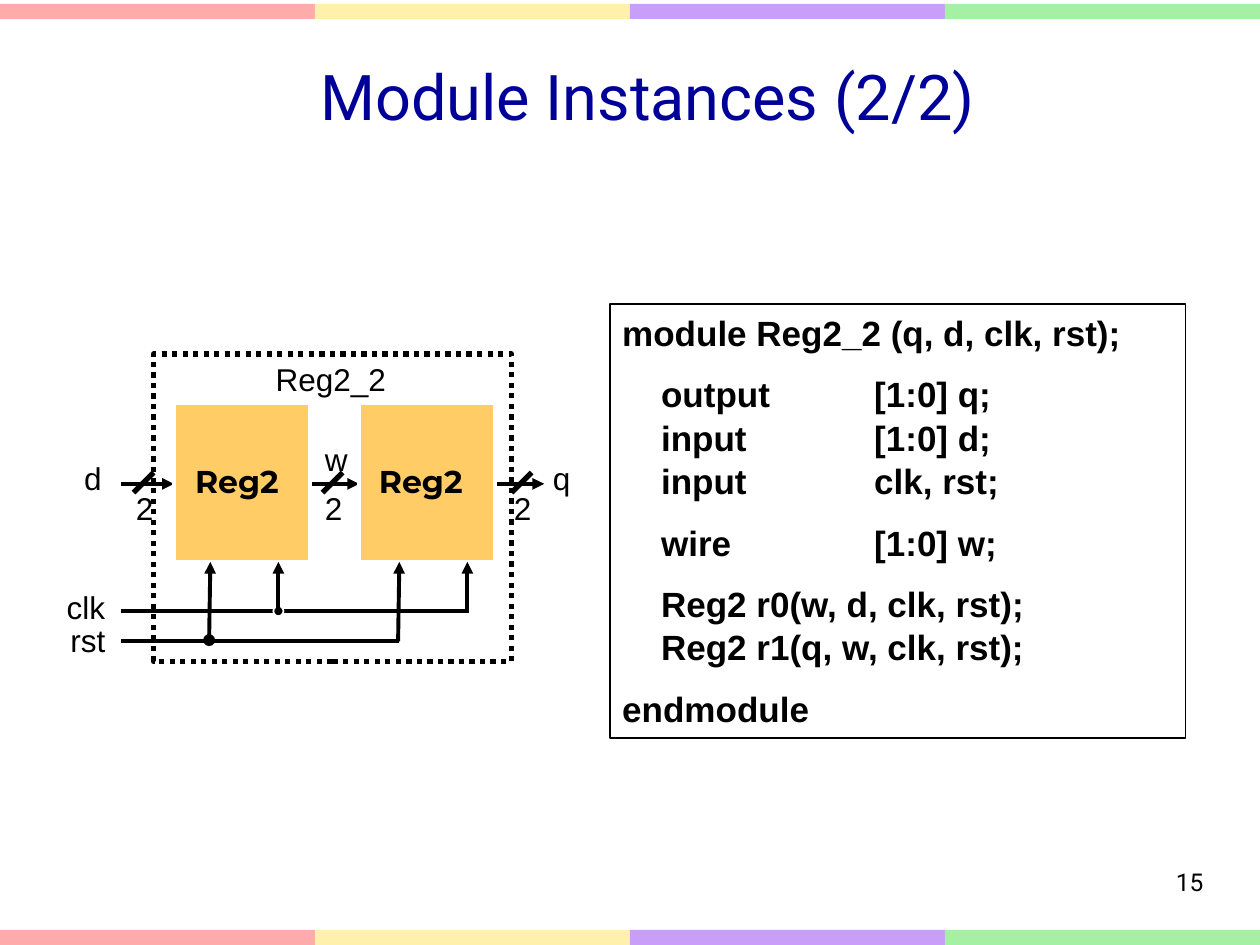
from lxml import etree
from pptx import Presentation
from pptx.dml.color import RGBColor
from pptx.enum.dml import MSO_LINE
from pptx.enum.shapes import MSO_CONNECTOR, MSO_SHAPE
from pptx.enum.text import MSO_ANCHOR, PP_ALIGN
from pptx.oxml.ns import qn
from pptx.util import Pt

RECT, OVAL = MSO_SHAPE.RECTANGLE, MSO_SHAPE.OVAL
STRAIGHT = MSO_CONNECTOR.STRAIGHT
DOTTED = MSO_LINE.ROUND_DOT
LEFT, CENTER, RIGHT = PP_ALIGN.LEFT, PP_ALIGN.CENTER, PP_ALIGN.RIGHT
TOP, MIDDLE = MSO_ANCHOR.TOP, MSO_ANCHOR.MIDDLE

BLACK = RGBColor(0x00, 0x00, 0x00)
WHITE = RGBColor(0xFF, 0xFF, 0xFF)
NAVY = RGBColor(0x00, 0x00, 0x99)
ORANGE = RGBColor(0xFF, 0xCC, 0x66)
BAR_COLORS = [RGBColor(0xFF, 0xAB, 0xAB), RGBColor(0xFF, 0xF1, 0xAB),
              RGBColor(0xC9, 0x9E, 0xF8), RGBColor(0xA6, 0xF0, 0xA6)]

prs = Presentation()
prs.slide_width, prs.slide_height = Pt(720), Pt(540)
s = prs.slides.add_slide(prs.slide_layouts[6])


def add_box(kind, x, y, w, h, fill=None, line=None, width=1):
    sp = s.shapes.add_shape(kind, Pt(x), Pt(y), Pt(w), Pt(h))
    sp.shadow.inherit = False
    if fill is None:
        sp.fill.background()
    else:
        sp.fill.solid()
        sp.fill.fore_color.rgb = fill
    if line is None:
        sp.line.fill.background()
    else:
        sp.line.color.rgb = line
        sp.line.width = Pt(width)
    return sp


def add_wire(x1, y1, x2, y2, width=2.25, arrow=False):
    c = s.shapes.add_connector(STRAIGHT, Pt(x1), Pt(y1), Pt(x2), Pt(y2))
    c.line.color.rgb = BLACK
    c.line.width = Pt(width)
    if arrow:
        etree.SubElement(c.line._get_or_add_ln(), qn("a:tailEnd"), type="triangle")
    etree.SubElement(c._element.spPr, qn("a:effectLst"))


# Colour bars along the top and bottom edges
for y in (2.2, 531.4):
    for i, color in enumerate(BAR_COLORS):
        add_box(RECT, 180 * i, y, 180, 8.6, color)

# Code listing
code = [
    "module Reg2_2 (q, d, clk, rst);",
    "    output\t[1:0] q;\n    input\t[1:0] d;\n    input\tclk, rst;",
    "    wire\t[1:0] w;",
    "    Reg2 r0(w, d, clk, rst);\n    Reg2 r1(q, w, clk, rst);",
    "endmodule",
]
sp = add_box(RECT, 348.5, 173.5, 329, 248.4, line=BLACK)
tf = sp.text_frame
tf.word_wrap = True
tf.vertical_anchor = TOP
for i, text in enumerate(code):
    p = tf.add_paragraph() if i else tf.paragraphs[0]
    p.text = text
    p.alignment = LEFT
    p.line_spacing = 1.04
    p.space_before = Pt(10 if i else 0)
    p.font.name, p.font.size, p.font.bold = "Arial", Pt(20), True
    p.font.color.rgb = BLACK
    tabs = etree.Element(qn("a:tabLst"))
    etree.SubElement(tabs, qn("a:tab"), pos=str(Pt(144)), algn="l")
    p._p.pPr.find(qn("a:defRPr")).addprevious(tabs)

# Data path: d -> register -> w -> register -> q
for x1, x2 in ((69, 99.4), (177, 205.2), (283, 311)):
    add_wire(x1, 276.5, x2, 276.5, arrow=True)
for x in (99.4, 205.2):
    add_box(RECT, x, 230.4, 77.8, 90.7, ORANGE, WHITE, 2.25)

# Clock and reset wires, with their junctions
add_wire(69, 349.2, 267.8, 349.2)
add_wire(69, 366.5, 228, 366.5)
add_box(OVAL, 156.2, 346.3, 5.8, 5.8, BLACK, WHITE)
add_box(OVAL, 116.6, 362.9, 5.8, 5.8, BLACK, BLACK)
for x1, x2, y in ((159.1, 159.1, 349.2), (267.1, 267.1, 349.2),
                  (119.5, 120.2, 366.5), (227.5, 228.2, 366.5)):
    add_wire(x1, y, x2, 321.1, arrow=True)

# Bus-width slashes
for i in range(3):
    x = 76.3 + 108 * i
    add_wire(x + 11.5, 270, x, 281.5, width=3)

# Outline of the outer module
sp = add_box(RECT, 87.8, 202.3, 204.5, 175.7, line=BLACK, width=3)
sp.line.dash_style = DOTTED

# Text: words, left, top, width, height, font, size, bold, colour, alignment, anchor
labels = [
    ("Module Instances (2/2)", 92.9, 9.4, 554.4, 90,
     "Roboto", 36, False, NAVY, CENTER, MIDDLE),
    ("15", 516.2, 491.8, 178.6, 37.4, "Roboto", 14, False, BLACK, RIGHT, TOP),
]
labels += [("Reg2", x, 260.6, 67.7, 28.8, "Montserrat", 18, True, BLACK, LEFT, TOP)
           for x in (104.4, 209.5)]
signals = [("Reg2_2", 150.5, 202.3, 79.2), ("d", 41, 258.5, 33.8),
           ("w", 178.6, 247.7, 33.8), ("q", 308.9, 258.5, 41.8),
           ("clk", 31, 332.6, 41.8), ("rst", 33.1, 351.4, 36.7)]
signals += [("2", 70.6 + 108 * i, 275.8, 22.3) for i in range(3)]
labels += [(text, x, y, w, 29.5, "Arial", 18, False, BLACK, LEFT, TOP)
           for text, x, y, w in signals]
for text, x, y, w, h, font, size, bold, color, align, anchor in labels:
    tf = s.shapes.add_textbox(Pt(x), Pt(y), Pt(w), Pt(h)).text_frame
    tf.word_wrap = True
    tf.vertical_anchor = anchor
    p = tf.paragraphs[0]
    p.text = text
    p.alignment = align
    p.font.name, p.font.size, p.font.bold = font, Pt(size), bold
    p.font.color.rgb = color

prs.save("out.pptx")
